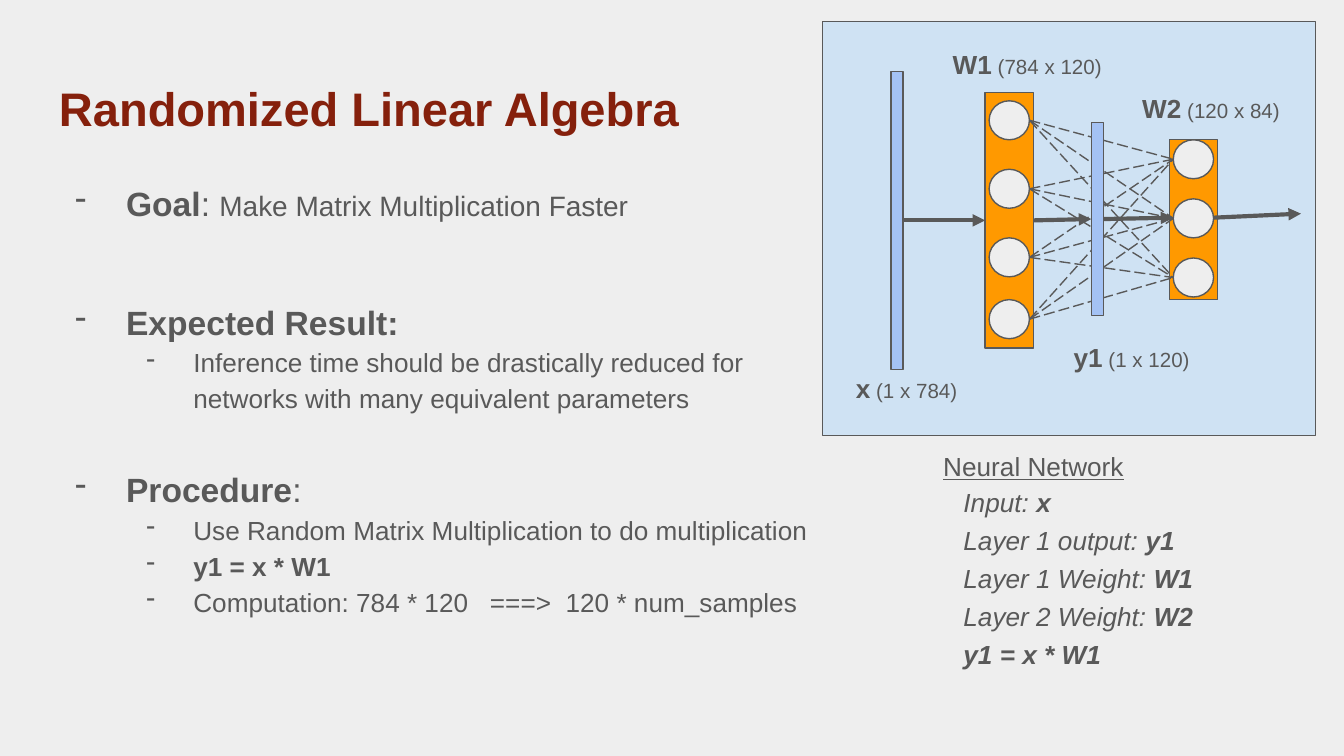
from itertools import product

from lxml import etree
from pptx import Presentation
from pptx import util as u
from pptx.dml.color import RGBColor
from pptx.enum import dml, shapes, text
from pptx.oxml.ns import qn

COLORS = {"page": "EEEEEE", "title": "85200C", "ink": "595959", "panel": "CFE2F3",
          "weight": "FF9900", "vector": "A4C2F4"}
COLS, ROWS = 100, 56.25
WIDTH, HEIGHT = u.Inches(10), u.Inches(5.625)
NODE_W, NODE_H = 3, 2.9
W1_TOPS = (7.5, 12.6, 17.7, 22.3)
W2_TOPS = (10.4, 14.8, 19.2)


def grid(*lengths):
    """Turn alternating column and row counts into slide lengths."""
    units = (WIDTH / COLS, HEIGHT / ROWS)
    return [u.Emu(round(n * units[i % 2])) for i, n in enumerate(lengths)]


def rgb(name):
    """Return the named colour."""
    return RGBColor.from_string(COLORS[name])


def add_block(slide, kind, at, fill):
    """Add an outlined, filled shape."""
    sp = slide.shapes.add_shape(kind, *grid(*at))
    sp.shadow.inherit = False
    sp.fill.solid()
    sp.fill.fore_color.rgb = rgb(fill)
    sp.line.color.rgb = rgb("ink")
    sp.line.width = u.Pt(0.75)
    return sp


def add_rect(slide, at, fill):
    """Add a rectangle."""
    return add_block(slide, shapes.MSO_SHAPE.RECTANGLE, at, fill)


def add_nodes(slide, left, tops):
    """Add a column of network nodes."""
    for top in tops:
        add_block(slide, shapes.MSO_SHAPE.OVAL, (left, top, NODE_W, NODE_H), "page")


def add_line(slide, ends, width):
    """Add a plain straight connector."""
    line = slide.shapes.add_connector(shapes.MSO_CONNECTOR.STRAIGHT, *grid(*ends))
    line.line.color.rgb = rgb("ink")
    line.line.width = u.Pt(width)
    etree.SubElement(line._element.spPr, qn("a:effectLst"))
    return line


def add_arrow(slide, ends, source=None, target=None):
    """Add an arrow, joined to the right of source and the left of target."""
    arrow = add_line(slide, ends, 2.25)
    etree.SubElement(arrow.line._get_or_add_ln(), qn("a:tailEnd"), type="triangle")
    if source is not None:
        arrow.begin_connect(source, 3)
    if target is not None:
        arrow.end_connect(target, 1)


def add_text(slide, at):
    """Add an empty wrapping text box and return its frame."""
    tf = slide.shapes.add_textbox(*grid(*at)).text_frame
    tf.word_wrap = True
    tf.margin_left = tf.margin_right = tf.margin_top = tf.margin_bottom = u.Inches(0.1)
    tf.vertical_anchor = text.MSO_ANCHOR.TOP
    return tf


def add_paragraph(tf, runs, size, color="ink", spacing=1.0, before=0):
    """Add a paragraph of (text, bold, optional size) runs."""
    p = tf.paragraphs[0] if not tf.paragraphs[0].runs else tf.add_paragraph()
    p.line_spacing = spacing
    p.space_before = u.Pt(before)
    p.font.name = "Arial"
    p.font.size = u.Pt(size)
    p.font.color.rgb = rgb(color)
    for words, bold, *own_size in runs:
        r = p.add_run()
        r.text = words
        r.font.bold = bold
        if own_size:
            r.font.size = u.Pt(own_size[0])
    return p


def add_dash(p, margin, hang):
    """Give a paragraph a hanging dash bullet."""
    pPr = p._p.get_or_add_pPr()
    pPr.set("marL", str(u.Inches(margin)))
    pPr.set("indent", str(-u.Inches(hang)))
    bullet = etree.Element(qn("a:buChar"), char="-")
    pPr.find(qn("a:defRPr")).addprevious(bullet)
    color = etree.Element(qn("a:buClr"))
    etree.SubElement(color, qn("a:srgbClr"), val=COLORS["ink"])
    bullet.addprevious(color)


def add_topic(tf, runs, before=0):
    """Add a first-level bullet."""
    add_dash(add_paragraph(tf, runs, 18, before=before), 0.5, 0.38)


def add_detail(tf, words, bold=False):
    """Add a second-level bullet."""
    p = add_paragraph(tf, [(words, bold)], 14, spacing=1.15)
    p.level = 1
    add_dash(p, 1, 0.35)


def add_label(slide, at, name, size):
    """Add a bold name followed by its dimensions."""
    add_paragraph(add_text(slide, at), [(name, True), (f" ({size})", False, 11)], 14)


def add_outline(slide):
    """Add the title and the bulleted outline."""
    title = add_text(slide, (3.4, 4.9, 93.2, 6.3))
    add_paragraph(title, [("Randomized Linear Algebra", True)], 25.2, "title")
    tf = add_text(slide, (3.4, 12.6, 59, 43.6))
    add_topic(tf, [("Goal", True), (": ", False),
                   ("Make Matrix Multiplication Faster", False, 15)])
    add_topic(tf, [("Expected Result:", True)], before=42)
    add_detail(tf, "Inference time should be drastically reduced for "
                   "networks with many equivalent parameters")
    add_topic(tf, [("Procedure", True), (":", False)], before=29.5)
    add_detail(tf, "Use Random Matrix Multiplication to do multiplication")
    add_detail(tf, "y1 = x * W1", bold=True)
    add_detail(tf, "Computation: 784 * 120   ===>  120 * num_samples")


def add_network(slide):
    """Add the diagram of the two-layer network."""
    add_rect(slide, (61.2, 1.6, 36.7, 30.8), "panel")
    add_rect(slide, (87, 10.4, 3.6, 11.9), "weight")
    w1 = add_rect(slide, (73.3, 6.9, 3.6, 19), "weight")
    add_nodes(slide, 73.6, W1_TOPS)
    add_nodes(slide, 87.3, W2_TOPS)
    x = add_rect(slide, (66.3, 5.3, 0.9, 22.2), "vector")
    for start, end in product(W1_TOPS, W2_TOPS):
        ends = (73.6 + NODE_W, start + NODE_H / 2, 87.3, end + NODE_H / 2)
        add_line(slide, ends, 0.75).line.dash_style = dml.MSO_LINE.LONG_DASH
    y1 = add_rect(slide, (81.2, 9.1, 0.9, 14.4), "vector")
    add_arrow(slide, (67.2, 16.4, 73.3, 16.4), x, w1)
    add_arrow(slide, (76.9, 16.4, 81.2, 16.3), w1, y1)
    add_arrow(slide, (82.1, 16.3, 87.3, 16.2), y1)
    add_arrow(slide, (90.3, 16.2, 96.8, 15.9))
    add_label(slide, (62.7, 26.7, 12.1, 4.4), "x", "1 x 784")
    add_label(slide, (78.9, 24.4, 13.7, 4.4), "y1", "1 x 120")
    add_label(slide, (69.9, 2.6, 16.5, 4.4), "W1", "784 x 120")
    add_label(slide, (84, 5.9, 16.5, 4.4), "W2", "120 x 84")


def add_legend(slide):
    """Add the list that explains the symbols."""
    heading = add_text(slide, (69.2, 32.5, 28.7, 4.4))
    add_paragraph(heading, [("Neural Network", False)], 14).font.underline = True
    tf = add_text(slide, (70.7, 36.2, 26.9, 13.2))
    entries = (("Input: ", "x"), ("Layer 1 output: ", "y1"), ("Layer 1 Weight: ", "W1"),
               ("Layer 2 Weight: ", "W2"), ("", "y1 = x * W1"))
    for i, (role, symbol) in enumerate(entries):
        runs = [(words, bold) for words, bold in ((role, False), (symbol, True)) if words]
        p = add_paragraph(tf, runs, 14, spacing=0.5, before=12 if i else 0)
        p.font.italic = True


def main():
    """Build and save the slide."""
    prs = Presentation()
    prs.slide_width, prs.slide_height = WIDTH, HEIGHT
    slide = prs.slides.add_slide(prs.slide_layouts[6])
    slide.background.fill.solid()
    slide.background.fill.fore_color.rgb = rgb("page")
    add_outline(slide)
    add_network(slide)
    add_legend(slide)
    prs.save("out.pptx")


if __name__ == "__main__":
    main()
